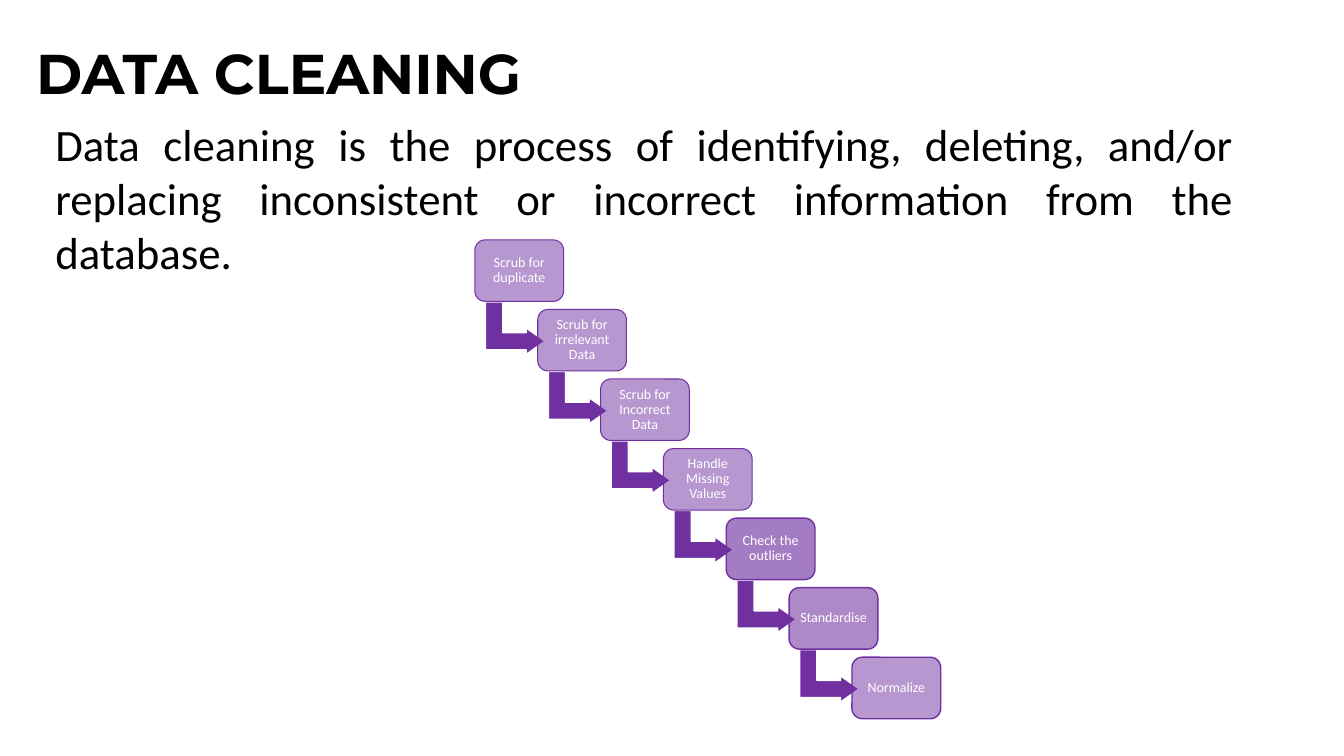
from lxml.etree import SubElement
from pptx import Presentation
from pptx.dml.color import RGBColor
from pptx.enum.shapes import MSO_SHAPE
from pptx.enum.text import MSO_ANCHOR, PP_ALIGN
from pptx.oxml.ns import qn
from pptx.util import Inches, Pt

PURPLE = RGBColor(0x70, 0x30, 0xA0)
WHITE = RGBColor(0xFF, 0xFF, 0xFF)
BLACK = RGBColor(0x00, 0x00, 0x00)

# Label, fill opacity in percent, outline width in points
STEPS = [
    ("Scrub for duplicate", 50, 0.75),
    ("Scrub for irrelevant Data", 50, 0.75),
    ("Scrub for Incorrect Data", 50, 0.75),
    ("Handle Missing Values", 50, 0.75),
    ("Check the outliers", 63, 1),
    ("Standardise ", 57, 1),
    ("Normalize", 50, 1),
]
STEP_WIDTH, STEP_HEIGHT = 0.88, 0.61
ARROW_WIDTH, ARROW_HEIGHT = 0.52, 0.59


def add_span(para, text, font, size, color, bold=False):
    span = para.add_run()
    span.text = text
    span.font.name = font
    span.font.size = Pt(size)
    span.font.color.rgb = color
    span.font.bold = bold


def add_text(page, left, top, width, height, text, font, size, bold=False,
             align=PP_ALIGN.LEFT):
    box = page.shapes.add_textbox(Inches(left), Inches(top), Inches(width), Inches(height))
    box.text_frame.word_wrap = True
    para = box.text_frame.paragraphs[0]
    para.alignment = align
    add_span(para, text, font, size, BLACK, bold)


def add_purple_shape(page, kind, left, top, width, height, line_color, line_width):
    shape = page.shapes.add_shape(
        kind, Inches(left), Inches(top), Inches(width), Inches(height))
    shape.shadow.inherit = False
    shape.fill.solid()
    shape.fill.fore_color.rgb = PURPLE
    shape.line.color.rgb = line_color
    shape.line.width = Pt(line_width)
    return shape


def add_arrow(page, left, top):
    arrow = add_purple_shape(page, MSO_SHAPE.BENT_UP_ARROW, left, top,
                             ARROW_WIDTH, ARROW_HEIGHT, WHITE, 1)
    for index, value in enumerate((0.328, 0.25, 0.358)):
        arrow.adjustments[index] = value
    arrow.rotation = 90


def add_step(page, left, top, label, opacity, line_width):
    step = add_purple_shape(page, MSO_SHAPE.ROUNDED_RECTANGLE, left, top,
                            STEP_WIDTH, STEP_HEIGHT, PURPLE, line_width)
    step.adjustments[0] = 0.167
    # Fill transparency
    color = step.fill._xPr.find(qn("a:solidFill"))[0]
    SubElement(color, qn("a:alpha"), val=str(opacity * 1000))
    # Label
    frame = step.text_frame
    frame.word_wrap = True
    frame.vertical_anchor = MSO_ANCHOR.MIDDLE
    frame.margin_left = frame.margin_right = Inches(0.07)
    frame.margin_top = frame.margin_bottom = Inches(0.07)
    para = frame.paragraphs[0]
    para.alignment = PP_ALIGN.CENTER
    para.line_spacing = 0.9
    add_span(para, label, "Calibri", 10, WHITE)


def add_staircase(page, left, top, width, height):
    last = len(STEPS) - 1
    step_x = (width - STEP_WIDTH) / last
    step_y = (height - STEP_HEIGHT) / last
    for index, (label, opacity, line_width) in enumerate(STEPS):
        x, y = left + index * step_x, top + index * step_y
        if index < last:
            add_arrow(page, x + 0.14, y + 0.58)
        add_step(page, x, y, label, opacity, line_width)


def main():
    deck = Presentation()
    deck.slide_width, deck.slide_height = Inches(13.33), Inches(7.5)
    page = deck.slides.add_slide(deck.slide_layouts[6])

    # Heading and definition
    add_text(page, 0.26, 0.33, 9.46, 0.77, "DATA CLEANING", "Montserrat", 40, bold=True)
    add_text(page, 0.45, 1.11, 11.89, 2.79,
             "Data cleaning is the process of identifying, deleting, and/or replacing "
             "inconsistent or incorrect information from the database.",
             "Calibri", 32, align=PP_ALIGN.JUSTIFY)

    # Cleaning steps
    add_staircase(page, 4.71, 2.38, 4.62, 4.75)
    deck.save("out.pptx")


if __name__ == "__main__":
    main()
